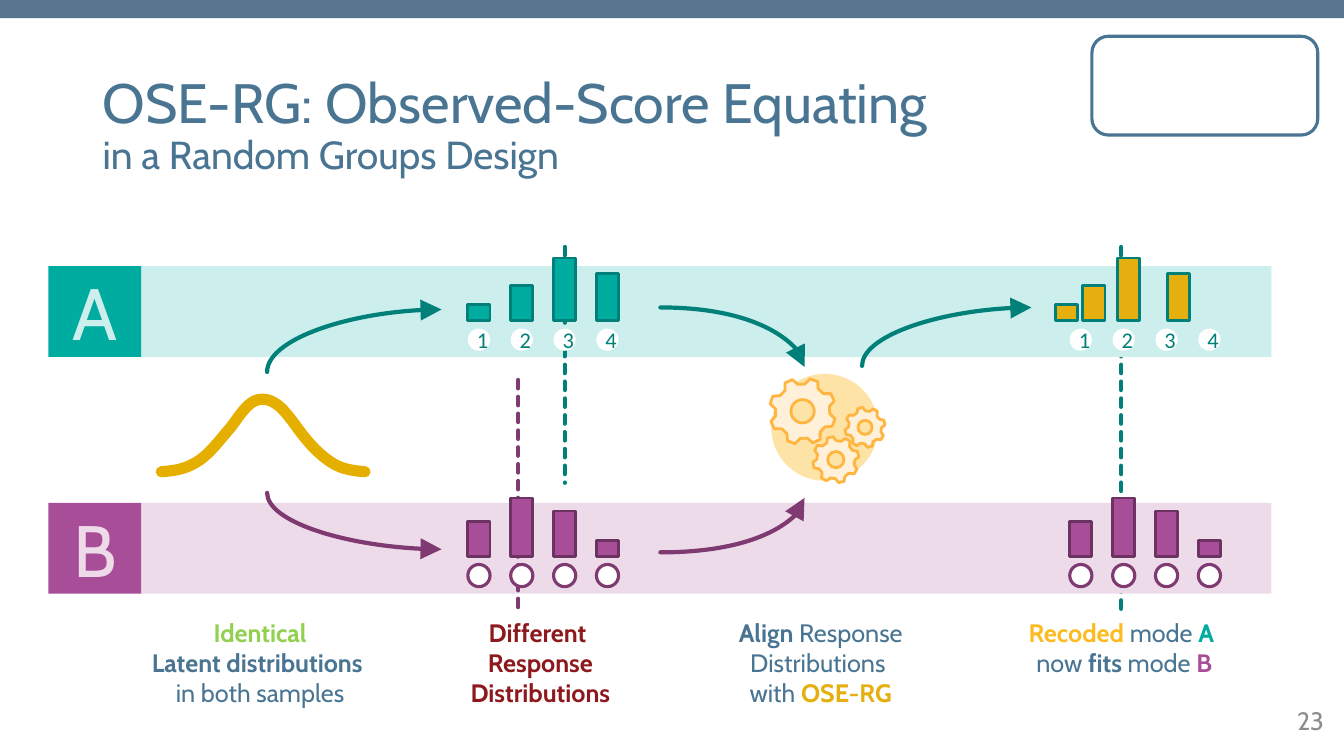
import math
from lxml import etree
from pptx import Presentation, util as u
from pptx.dml.color import RGBColor
from pptx.enum import dml, shapes, text
from pptx.oxml.ns import qn

W, H = 13.33, 7.5
TEAL, TEAL_DARK = "00ABA0", "008078"
PLUM, PLUM_DARK, PLUM_EDGE = "A84D97", "7E3A71", "6C3261"
GOLD, SLATE, RED = "E5AF0F", "497593", "8D191D"
CREAM, GEAR_FILL, GEAR_LINE, WHITE = "FDE4A6", "FFF0D9", "FFB641", "FFFFFF"

# Content: runs are (words, colour, bold); "\n" ends a line
TITLE = [("OSE-RG: Observed-Score Equating\n", 39.6), ("in a Random Groups Design", 27.9)]
MODES = [  # letter, top, square, band
    ("A", 2.64, TEAL, "CCEEEC"),
    ("B", 4.99, PLUM, "EEDBEA"),
]
CAPTIONS = [  # left, width, paragraphs
    (1.4, 2.36, [[("Identical", "92D050", True)],
                 [("Latent distributions \n", SLATE, True), ("in both samples", SLATE, False)]]),
    (4.18, 2.36, [[("Different ", RED, True)], [("Response Distributions", RED, True)]]),
    (6.83, 2.62, [[("Align", SLATE, True), (" Response Distributions ", SLATE, False)],
                  [("with ", SLATE, False), ("OSE-RG", GOLD, True)]]),
    (9.84, 2.62, [[("Recoded ", "FBBB21", True), ("mode ", SLATE, False), ("A ", TEAL, True)],
                  [("now ", SLATE, False), ("fits ", SLATE, True), ("mode ", SLATE, False),
                   ("B", PLUM, True)]]),
]
HEIGHTS_A = [0.16, 0.35, 0.62, 0.47]
HEIGHTS_B = [0.35, 0.58, 0.45, 0.16]
BAR, STEP = 0.22, 0.425
LEFT, RIGHT = 4.64, 10.61
BASE_A, BASE_B = 3.18, 5.52
EVEN = [0, STEP, 2 * STEP, 3 * STEP]
RECODED = [-0.14, 0.13, 0.47, 0.97]
CHARTS = [  # left, bar offsets, heights, base, fill, edge, numbered
    (LEFT, EVEN, HEIGHTS_B, BASE_B, PLUM, PLUM_EDGE, False),
    (LEFT, EVEN, HEIGHTS_A, BASE_A, TEAL, TEAL_DARK, True),
    (RIGHT, RECODED, HEIGHTS_A, BASE_A, GOLD, TEAL_DARK, True),
    (RIGHT, EVEN, HEIGHTS_B, BASE_B, PLUM, PLUM_EDGE, False),
]
ARROWS = [  # level end, upright end, colour, arrowhead end
    ((4.38, 3.07), (2.65, 3.69), TEAL_DARK, "headEnd"),
    ((4.38, 5.45), (2.65, 4.89), PLUM_DARK, "headEnd"),
    ((6.55, 3.05), (7.98, 3.64), TEAL_DARK, "tailEnd"),
    ((6.55, 5.48), (7.98, 4.94), PLUM_DARK, "tailEnd"),
    ((10.23, 3.05), (8.55, 3.63), TEAL_DARK, "headEnd"),
]
BELL = [(1.6, 4.68), (1.72, 4.67), (1.82, 4.66), (1.94, 4.59), (2.07, 4.52), (2.19, 4.35),
        (2.28, 4.25), (2.37, 4.14), (2.46, 3.96), (2.6, 3.96), (2.75, 3.96), (2.85, 4.11),
        (2.96, 4.26), (3.07, 4.41), (3.18, 4.52), (3.29, 4.59), (3.4, 4.66), (3.51, 4.67),
        (3.62, 4.68)]
GEARS = [(8.29, 4.56, 0.23, 59), (7.96, 4.08, 0.33, 70), (8.58, 4.24, 0.2, 59)]

prs = Presentation()
prs.slide_width, prs.slide_height = u.Inches(W), u.Inches(H)
s = prs.slides.add_slide(prs.slide_layouts[6])
KIND = shapes.MSO_SHAPE


def rgb(color):
    return RGBColor.from_string(color)


def paint(sp, fill, line=None, width=0):
    sp.shadow.inherit = False
    if fill:
        sp.fill.solid()
        sp.fill.fore_color.rgb = rgb(fill)
    else:
        sp.fill.background()
    if line:
        sp.line.color.rgb = rgb(line)
        sp.line.width = u.Pt(width)
    else:
        sp.line.fill.background()
    return sp


def shape(kind, x, y, w, h, fill, line=None, width=0):
    return paint(s.shapes.add_shape(kind, *map(u.Inches, (x, y, w, h))), fill, line, width)


def disc(cx, cy, radius, fill, line=None, width=0):
    return shape(KIND.OVAL, cx - radius, cy - radius, 2 * radius, 2 * radius, fill, line, width)


def outline(points, close, fill, line, width):
    emu = [(u.Inches(x), u.Inches(y)) for x, y in points]
    fb = s.shapes.build_freeform(*emu[0])
    fb.add_line_segments(emu[1:], close=close)
    return paint(fb.convert_to_shape(), fill, line, width)


def box(x, y, w, h, anchor=text.MSO_ANCHOR.TOP):
    tf = s.shapes.add_textbox(*map(u.Inches, (x, y, w, h))).text_frame
    tf.word_wrap, tf.vertical_anchor = True, anchor
    return tf


def add_run(p, words, size, color, bold=False, font="Cabin"):
    r = p.add_run()
    r.text = words.rstrip("\n")
    r.font.name, r.font.size, r.font.bold = font, u.Pt(size), bold
    r.font.color.rgb = rgb(color)
    if words.endswith("\n"):
        p.add_line_break()


def label(sp, words, size, color, font="Cabin"):
    sp.text_frame.vertical_anchor = text.MSO_ANCHOR.MIDDLE
    p = sp.text_frame.paragraphs[0]
    p.alignment = text.PP_ALIGN.CENTER
    add_run(p, words, size, color, font=font)


def connector(kind, start, end, color):
    cn = s.shapes.add_connector(kind, *map(u.Inches, start + end))
    cn.line.color.rgb = rgb(color)
    cn.line.width = u.Pt(3)
    cn.line._get_or_add_ln().set("cap", "rnd")
    etree.SubElement(cn._element.spPr, qn("a:effectLst"))
    return cn


def dashed(x, top, bottom, color):
    cn = connector(shapes.MSO_CONNECTOR.STRAIGHT, (x, top), (x, bottom), color)
    cn.line.dash_style = dml.MSO_LINE.SQUARE_DOT
    cn.line._get_or_add_ln().find(qn("a:prstDash")).set("val", "sysDash")


def bezier(points, steps=10):
    curve = [points[0]]
    for i in range(0, len(points) - 1, 3):
        for k in range(1, steps + 1):
            t = k / steps
            weights = ((1 - t) ** 3, 3 * t * (1 - t) ** 2, 3 * t * t * (1 - t), t ** 3)
            curve.append(tuple(sum(f * pt[axis] for f, pt in zip(weights, points[i:i + 4]))
                               for axis in (0, 1)))
    return curve


# Top bar, gear backdrop, bands and mean lines
shape(KIND.RECTANGLE, 0, 0, W, 0.18, "58748F")
disc(8.18, 4.24, 0.53, CREAM)
dashed(11.12, 2.45, 6.07, TEAL_DARK)
for letter, top, color, band in MODES:
    shape(KIND.RECTANGLE, 1.4, top, 11.21, 0.9, band)
    label(shape(KIND.RECTANGLE, 0.48, top, 0.92, 0.9, color), letter, 52, band)
dashed(5.14, 3.77, 6.07, PLUM_DARK)
dashed(5.6, 2.45, 4.79, TEAL_DARK)

# Title, with a plain panel in the corner
p = box(0.92, 0.75, 11.5, 1.02, text.MSO_ANCHOR.MIDDLE).paragraphs[0]
p.line_spacing = 0.9
for words, size in TITLE:
    add_run(p, words, size, SLATE)
shape(KIND.ROUNDED_RECTANGLE, 10.83, 0.36, 2.24, 0.98, WHITE, SLATE, 2.25)

# Curved arrows run from a level end to an upright end
for level, upright, color, tip in ARROWS:
    cn = connector(shapes.MSO_CONNECTOR.CURVE, level, upright, color)
    cn._element.spPr.find(qn("a:prstGeom")).set("prst", "curvedConnector2")
    etree.SubElement(cn.line._get_or_add_ln(), qn("a:" + tip), type="triangle", w="lg", len="lg")

# Latent distribution
bell = outline(bezier(BELL), False, None, "E5AF00", 8)
bell.line._get_or_add_ln().set("cap", "rnd")

# Bar groups with their category circles
for left, offsets, heights, base, fill, edge, numbered in CHARTS:
    for i, (dx, h) in enumerate(zip(offsets, heights)):
        shape(KIND.RECTANGLE, left + dx, base - h, BAR, h, fill, edge, 2)
        spot = (KIND.OVAL, left + i * STEP, base + 0.08, BAR, BAR, WHITE)
        if numbered:
            label(shape(*spot), str(i + 1), 16, TEAL_DARK, "Calibri")
        else:
            shape(*spot, PLUM_DARK, 2.25)

# Gears: eight teeth, four corners each
for cx, cy, radius, turn in GEARS:
    corners = [(turn + 45 * tooth + a, radius * share) for tooth in range(8)
               for a, share in ((-15, 0.82), (-7, 1), (7, 1), (15, 0.82))]
    outline([(cx + d * math.cos(math.radians(a)), cy - d * math.sin(math.radians(a)))
             for a, d in corners], True, GEAR_FILL, GEAR_LINE, 2)
    disc(cx, cy, radius * 0.35, CREAM, GEAR_LINE, 2)

# Captions and page number
for left, width, paragraphs in CAPTIONS:
    tf = box(left, 6.07, width, 1.09)
    for i, runs in enumerate(paragraphs):
        p = tf.add_paragraph() if i else tf.paragraphs[0]
        p.alignment = text.PP_ALIGN.CENTER
        for words, color, bold in runs:
            add_run(p, words, 18, color, bold)
p = box(9.42, 6.95, 3.81, 0.4, text.MSO_ANCHOR.MIDDLE).paragraphs[0]
p.alignment = text.PP_ALIGN.RIGHT
add_run(p, "23", 18, "8C8C8C")

prs.save("out.pptx")
